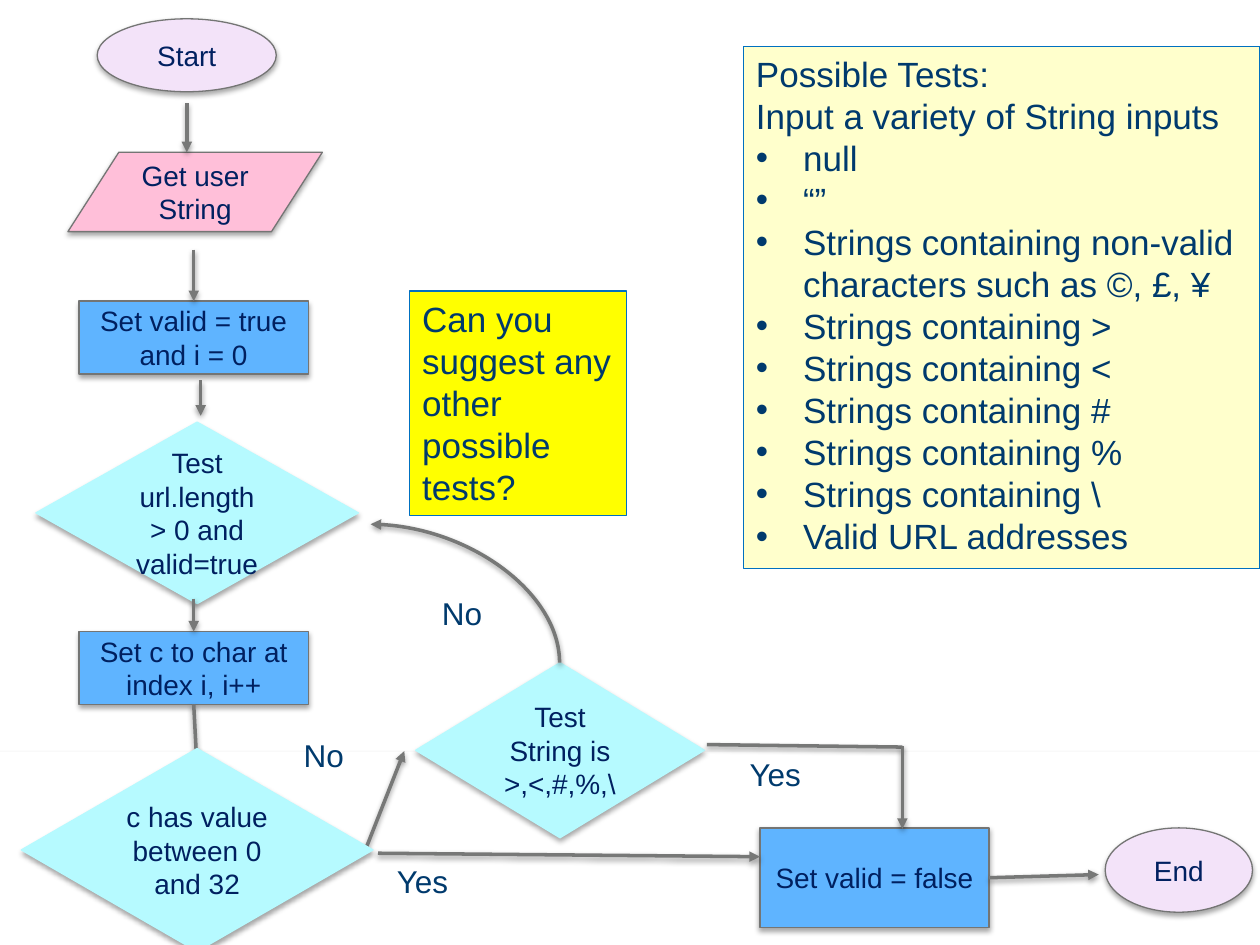
from dataclasses import dataclass

from lxml import etree
from pptx import Presentation
from pptx.dml.color import RGBColor
from pptx.enum.shapes import MSO_CONNECTOR as Link, MSO_SHAPE as Kind
from pptx.enum.text import MSO_ANCHOR as Anchor, MSO_AUTO_SIZE as AutoSize, PP_ALIGN as Align
from pptx.oxml.ns import qn
from pptx.util import Cm, Pt

TOP, BOTTOM, RIGHT = 0, 2, 3


@dataclass(frozen=True)
class Theme:
    font: str = "Arial"
    step_size: int = 16
    label_size: int = 18
    note_size: int = 20
    step_text: str = "002060"
    note_text: str = "003A6D"
    terminal: str = "F3E3F9"
    user_input: str = "FFBFD9"
    process: str = "5FB4FF"
    decision: str = "B6FAFF"
    outline: str = "747574"
    arrow: str = "777877"
    note_line: str = "0070C0"
    tests_fill: str = "FFFFCC"
    question_fill: str = "FFFF00"
    white: str = "FFFFFF"


THEME = Theme()
STYLES = {
    "terminal": (Kind.OVAL, THEME.terminal, THEME.outline),
    "input": (Kind.FLOWCHART_DATA, THEME.user_input, THEME.outline),
    "process": (Kind.FLOWCHART_PROCESS, THEME.process, THEME.outline),
    "decision": (Kind.FLOWCHART_DECISION, THEME.decision, THEME.decision),
    "band": (Kind.RECTANGLE, THEME.white, None),
}


@dataclass(frozen=True)
class Box:
    left: float
    top: float
    width: float
    height: float

    def inner(self, x, y, width, height):
        return Box(self.left + x, self.top + y, width, height)

    def point(self, x, y):
        return Cm(self.left + x), Cm(self.top + y)

    def place(self):
        return Cm(self.left), Cm(self.top), Cm(self.width), Cm(self.height)


def paint(shape, fill, line):
    shape.fill.solid()
    shape.fill.fore_color.rgb = RGBColor.from_string(fill)
    if line is None:
        shape.line.fill.background()
    else:
        shape.line.color.rgb = RGBColor.from_string(line)
        shape.line.width = Pt(0.75)


def drop_shadow(shape, opacity, distance):
    properties = shape._element.spPr
    effects = properties.find(qn("a:effectLst"))
    if effects is None:
        effects = etree.SubElement(properties, qn("a:effectLst"))
    shadow = etree.SubElement(effects, qn("a:outerShdw"), blurRad=str(Pt(3.1)),
                              dist=str(Pt(distance)), dir="5400000", rotWithShape="0")
    color = etree.SubElement(shadow, qn("a:srgbClr"), val="000000")
    etree.SubElement(color, qn("a:alpha"), val=str(opacity * 1000))


def write(para, text, size, color):
    span = para.add_run()
    span.text = text
    span.font.name = THEME.font
    span.font.size = Pt(size)
    span.font.color.rgb = RGBColor.from_string(color)


def add_step(page, box, style, text=None):
    kind, fill, line = STYLES[style]
    shape = page.shapes.add_shape(kind, *box.place())
    shape.shadow.inherit = False
    paint(shape, fill, line)
    drop_shadow(shape, 35, 1.8)
    if text:
        shape.text_frame.vertical_anchor = Anchor.MIDDLE
        para = shape.text_frame.paragraphs[0]
        para.alignment = Align.CENTER
        write(para, text, THEME.step_size, THEME.step_text)
    return shape


def add_arrow(page, start, end, head=True, kind=Link.STRAIGHT):
    arrow = page.shapes.add_connector(kind, *start, *end)
    arrow.line.color.rgb = RGBColor.from_string(THEME.arrow)
    arrow.line.width = Pt(2)
    if head:
        etree.SubElement(arrow.line._get_or_add_ln(), qn("a:tailEnd"), type="triangle")
    drop_shadow(arrow, 38, 1.6)
    return arrow


def add_curve(page, start, end):
    """Quarter curve; start and end are given before its turn of 270 degrees."""
    curve = add_arrow(page, start, end, kind=Link.CURVE)
    properties = curve._element.spPr
    properties.find(qn("a:prstGeom")).set("prst", "curvedConnector2")
    properties.find(qn("a:xfrm")).set("rot", str(270 * 60000))


def add_label(page, box, text):
    frame = page.shapes.add_textbox(*box.place()).text_frame
    frame.word_wrap = True
    write(frame.paragraphs[0], text, THEME.label_size, THEME.note_text)


def add_note(page, box, fill, lines, bullets=()):
    note = page.shapes.add_textbox(*box.place())
    paint(note, fill, THEME.note_line)
    frame = note.text_frame
    frame.word_wrap = True
    frame.auto_size = AutoSize.SHAPE_TO_FIT_TEXT
    for index, text in enumerate([*lines, *bullets]):
        para = frame.add_paragraph() if index else frame.paragraphs[0]
        if index >= len(lines):
            properties = para._p.get_or_add_pPr()
            properties.set("marL", str(Cm(0.95)))
            properties.set("indent", str(-Cm(0.95)))
            etree.SubElement(properties, qn("a:buFont"), typeface=THEME.font)
            etree.SubElement(properties, qn("a:buChar"), char="•")
        write(para, text, THEME.note_size, THEME.note_text)


def add_main_column(page, box):
    """Steps from Start down to the range test, each centred near the column's axis."""
    axis = box.width / 2

    def step(style, text, top, width, height, shift=0):
        return add_step(page, box.inner(axis + shift - width / 2, top, width, height), style, text)

    def down(x, top, bottom, head=True):
        return add_arrow(page, box.point(x, top), box.point(x, bottom), head)

    step("terminal", "Start", 0, 3.61, 1.47, -0.21)
    step("input", "Get user String", 2.69, 5.13, 1.6, -0.04)
    setup = step("process", "Set valid = true and i = 0", 5.69, 4.62, 1.47, -0.07)
    step("decision", "Test url.length > 0 and valid=true", 8.13, 6.5, 3.66)
    read = step("process", "Set c to char at index i, i++", 12.35, 4.62, 1.47, -0.07)

    down(axis - 0.21, 1.7, 2.69)
    down(axis - 0.07, 4.65, 5.69).end_connect(setup, TOP)
    down(axis + 0.07, 7.29, 8)
    down(axis - 0.07, 11.69, 12.35).end_connect(read, TOP)
    down(axis, 13.82, 15.14).begin_connect(read, BOTTOM)
    step("decision", "c has value between 0 and 32", 14.71, 7.09, 4.09)


def add_branches(page, box):
    """Symbol test, the way back to the loop, and the steps that reach End."""
    add_step(page, box.inner(1, 2.79, 5.82, 3.53), "decision", "Test String is >,<,#,%,\\")
    reject = add_step(page, box.inner(7.94, 6.12, 4.62, 2.01), "process", "Set valid = false")
    add_step(page, box.inner(14.9, 6.12, 2.97, 1.7), "terminal", "End")

    add_arrow(page, box.point(0.01, 6.5), box.point(0.77, 4.57))
    add_arrow(page, box.point(0.24, 6.63), box.point(7.94, 6.7))
    add_arrow(page, box.point(10.81, 4.49), box.point(6.87, 4.44), head=False)
    add_arrow(page, box.point(10.81, 4.47), box.point(10.81, 6.14))
    finish = add_arrow(page, box.point(12.56, 7.06), box.point(14.77, 7.06))
    finish.begin_connect(reject, RIGHT)
    add_curve(page, box.point(0.6, 3.3), box.point(3.39, -0.51))

    for text, x, y in (("Yes", 0.37, 6.68), ("No", -1.51, 4.14),
                       ("Yes", 7.48, 4.52), ("No", 1.28, 1.29)):
        add_label(page, box.inner(x, y, 1.83, 1.02), text)


def add_notes(page, box):
    add_note(page, box.inner(6.73, 0, 10.41, 10.52), THEME.tests_fill,
             ["Possible Tests:", "Input a variety of String inputs"],
             ["null", "“”", "Strings containing non-valid characters such as ©, £, ¥",
              *(f"Strings containing {symbol}" for symbol in "><#%\\"),
              "Valid URL addresses"])
    add_note(page, box.inner(0, 4.93, 4.37, 4.52), THEME.question_fill,
             ["Can you suggest any other possible tests?"])


def main():
    deck = Presentation()
    deck.slide_width, deck.slide_height = Cm(25.4), Cm(19.05)
    page = deck.slides.add_slide(deck.slide_layouts[6])
    add_step(page, Box(-0.91, 15.16, 26.31, 4.57), "band")
    add_branches(page, Box(7.38, 10.57, 17.87, 8.13))
    add_main_column(page, Box(0.43, 0.38, 7.09, 18.8))
    add_notes(page, Box(8.26, 0.94, 17.14, 10.52))
    deck.save("out.pptx")


if __name__ == "__main__":
    main()
